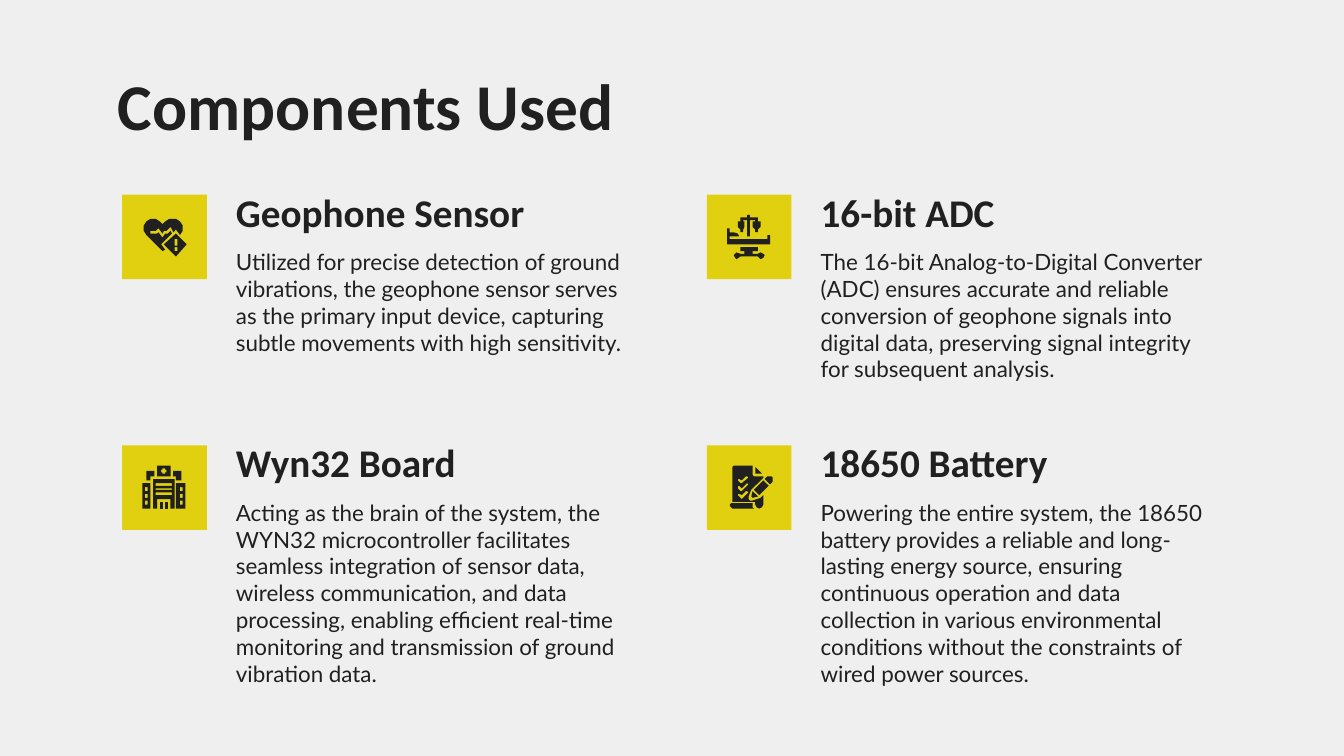
from pptx import Presentation
from pptx.dml.color import RGBColor
from pptx.enum.shapes import MSO_SHAPE
from pptx.enum.text import MSO_ANCHOR
from pptx.util import Cm, Pt

RECTANGLE = MSO_SHAPE.RECTANGLE
TOP = MSO_ANCHOR.TOP
BOTTOM = MSO_ANCHOR.BOTTOM

INK = "202020"
YELLOW = "E1D010"
PAPER = "EFEFEF"

TILE = 1.6
GRID_UNITS = 63
CARD_LEFT, CARD_TOP = 2.31, 3.68
COLUMN_PITCH, ROW_PITCH = 11.05, 4.74
TEXT_OFFSET, TEXT_WIDTH = 1.9, 7.82

HEART_ALERT = [
    ["43,20 40,18 35,18 32,20 30,22 28,20 25,18 21,18 18,20 16,23 16,27 18,30 "
     "30,42 32,41 29,37 37,29 36,27 34,29 32,29 30,32 27,28 26,29 21,29 21,27 "
     "25,27 27,25 30,29 31,27 33,27 36,24 38,28 40,26 43,30 45,27 45,23"],
    ["40,46 48,37 40,29 31,37",
     "41,42 39,42 39,39 41,39",
     "41,33 41,38 39,38 39,33"],
]
HOSPITAL_BED = [
    ["25,42 28,42 28,44 25,44 22,43 21,44 20,45 21,47 22,48 25,46 38,46 40,48 "
     "42,47 43,45 42,44 40,43 38,44 34,44 34,42 38,42 38,39 25,39"],
    ["32,19 36,19 36,20 34,20 34,24 36,26 36,28 38,28 38,26 40,24 40,20 38,20 "
     "38,17 32,17 32,15 30,15 30,17 25,17 25,20 23,20 23,24 25,26 25,28 27,28 "
     "27,26 28,24 28,20 27,20 27,19 30,19 30,31 32,31"],
    ["47,30 45,30 45,33 17,33 17,31 24,31 23,29 20,28 17,28 17,25 15,25 "
     "15,37 47,37"],
]
HOSPITAL = [
    ["21,23 24,23 24,19 18,19 18,26 21,26"],
    ["40,23 40,26 44,26 44,19 38,19 38,23"],
    ["28,42 30,42 30,47 28,47"],
    ["32,42 34,42 34,47 32,47"],
    ["39,25 23,25 23,47 26,47 26,40 36,40 36,47 39,47",
     "37,37 25,37 25,35 37,35",
     "37,33 25,33 25,32 37,32",
     "25,30 25,28 37,28 37,30"],
    ["26,23 36,23 36,15 26,15",
     "30,17 32,17 32,18 33,18 33,20 32,20 32,21 30,21 30,20 29,20 29,18 30,18"],
    ["40,47 47,47 47,28 40,28",
     "43,31 45,31 45,34 43,34",
     "43,36 45,36 45,39 43,39",
     "43,41 45,41 45,44 43,44"],
    ["15,28 15,47 21,47 21,28",
     "19,34 17,34 17,31 19,31",
     "19,39 17,39 17,36 19,36",
     "19,44 17,44 17,41 19,41"],
]
CHECKLIST = [
    ["20,15 19,16 19,42 36,42 36,44 37,46 39,47 41,46 42,44 42,37 40,39 34,41 "
     "32,41 31,40 31,38 33,33 42,24 42,23 35,23 34,22 34,15",
     "30,23 31,24 26,28 25,28 23,26 23,25 24,25 26,26 29,23",
     "30,28 31,29 26,34 25,34 23,32 23,30 24,30 26,32 29,29",
     "30,34 31,35 26,40 25,39 23,37 23,36 24,36 26,37 29,34"],
    ["46,23 45,23 43,25 47,29 49,27 49,24 48,23"],
    ["34,34 33,38 34,39 38,38"],
    ["42,26 35,33 39,37 46,30"],
    ["36,16 36,21 41,21"],
    ["18,43 17,44 17,45 18,46 19,47 35,47 34,46 34,43"],
]

COMPONENTS = [
    ("Geophone Sensor",
     "Utilized for precise detection of ground vibrations, the geophone sensor "
     "serves as the primary input device, capturing subtle movements with high "
     "sensitivity.", HEART_ALERT, 3.02),
    ("16-bit ADC",
     "The 16-bit Analog-to-Digital Converter (ADC) ensures accurate and reliable "
     "conversion of geophone signals into digital data, preserving signal "
     "integrity for subsequent analysis.", HOSPITAL_BED, 3.53),
    ("Wyn32 Board",
     "Acting as the brain of the system, the WYN32 microcontroller facilitates "
     "seamless integration of sensor data, wireless communication, and data "
     "processing, enabling efficient real-time monitoring and transmission of "
     "ground vibration data.", HOSPITAL, 2.9),
    ("18650 Battery",
     "Powering the entire system, the 18650 battery provides a reliable and "
     "long-lasting energy source, ensuring continuous operation and data "
     "collection in various environmental conditions without the constraints of "
     "wired power sources.", CHECKLIST, 2.9),
]


def color(hex_string):
    return RGBColor.from_string(hex_string)


def paint(shape, hex_string):
    shape.shadow.inherit = False
    shape.fill.solid()
    shape.fill.fore_color.rgb = color(hex_string)
    shape.line.fill.background()


def add_text(slide, box, wording, font, size, bold=False, anchor=TOP, top_inset=0.25):
    frame = slide.shapes.add_textbox(*map(Cm, box)).text_frame
    frame.word_wrap = True
    frame.vertical_anchor = anchor
    frame.margin_left = frame.margin_right = frame.margin_bottom = Cm(0.25)
    frame.margin_top = Cm(top_inset)
    frame.text = wording
    for run in frame.paragraphs[0].runs:
        run.font.name = font
        run.font.size = Pt(size)
        run.font.bold = bold
        run.font.color.rgb = color(INK)


def add_icon(slide, left, top, parts):
    paint(slide.shapes.add_shape(RECTANGLE, Cm(left), Cm(top), Cm(TILE), Cm(TILE)), YELLOW)
    for rings in parts:
        outlines = [[tuple(map(int, point.split(","))) for point in ring.split()]
                    for ring in rings]
        builder = slide.shapes.build_freeform(*outlines[0][0], scale=Cm(TILE) / GRID_UNITS)
        for outline in outlines:
            builder.move_to(*outline[0])
            builder.add_line_segments(outline[1:], close=True)
        paint(builder.convert_to_shape(Cm(left), Cm(top)), INK)


def add_component(slide, left, top, heading, description, icon, description_height):
    add_icon(slide, left, top, icon)
    text_left = left + TEXT_OFFSET
    add_text(slide, (text_left, top - 0.18, TEXT_WIDTH, 1.19), heading,
             "Calibri", 21, bold=True, anchor=BOTTOM)
    add_text(slide, (text_left, top + 0.76, TEXT_WIDTH, description_height),
             description, "Lato", 12)


def main():
    deck = Presentation()
    deck.slide_width, deck.slide_height = Cm(25.4), Cm(14.29)
    slide = deck.slides.add_slide(deck.slide_layouts[6])
    slide.background.fill.solid()
    slide.background.fill.fore_color.rgb = color(PAPER)
    add_text(slide, (1.98, 1.24, 21.44, 1.6), "Components Used", "Calibri", 35,
             bold=True, top_inset=0)
    for index, component in enumerate(COMPONENTS):
        row, column = divmod(index, 2)
        add_component(slide, CARD_LEFT + column * COLUMN_PITCH,
                      CARD_TOP + row * ROW_PITCH, *component)
    deck.save("out.pptx")


if __name__ == "__main__":
    main()
